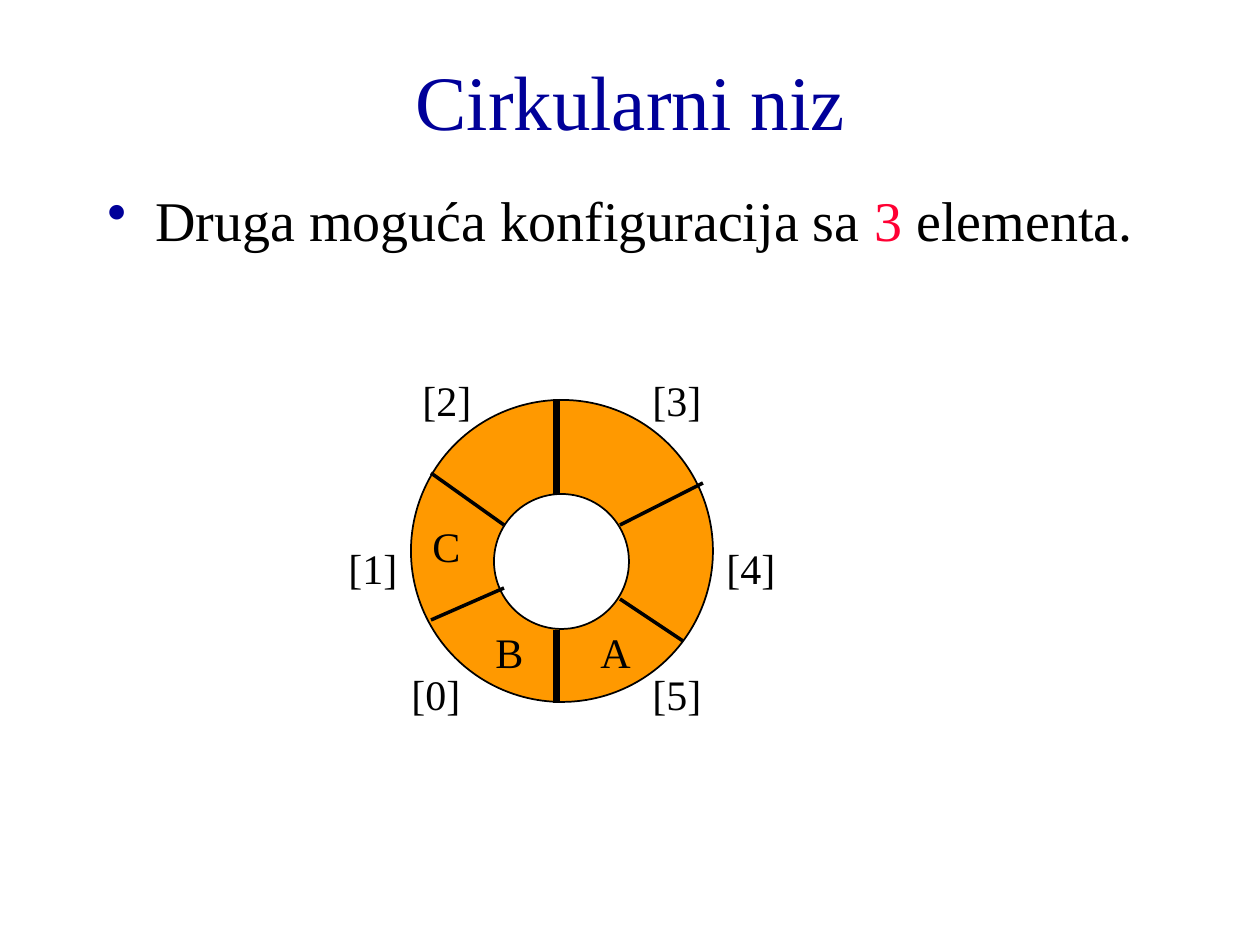
from typing import NamedTuple

from lxml import etree
from pptx import Presentation
from pptx.dml.color import RGBColor
from pptx.enum.shapes import MSO_CONNECTOR, MSO_SHAPE
from pptx.enum.text import MSO_ANCHOR, MSO_AUTO_SIZE, PP_ALIGN
from pptx.oxml.ns import qn
from pptx.util import Emu, Inches, Pt

OVAL = MSO_SHAPE.OVAL
STRAIGHT = MSO_CONNECTOR.STRAIGHT
LEFT, CENTER = PP_ALIGN.LEFT, PP_ALIGN.CENTER
TOP, MIDDLE = MSO_ANCHOR.TOP, MSO_ANCHOR.MIDDLE
FIT = MSO_AUTO_SIZE.SHAPE_TO_FIT_TEXT
NONE = MSO_AUTO_SIZE.NONE

FONT = "Times New Roman"
BLACK = RGBColor(0x00, 0x00, 0x00)
WHITE = RGBColor(0xFF, 0xFF, 0xFF)
NAVY = RGBColor(0x00, 0x00, 0x99)
RED = RGBColor(0xFF, 0x00, 0x33)
ORANGE = RGBColor(0xFF, 0x99, 0x00)

SCALE = 914400 / 126


class Ring(NamedTuple):
    x: int
    y: int
    size: int
    fill: RGBColor


class Spoke(NamedTuple):
    x1: int
    y1: int
    x2: int
    y2: int
    width: int = 2


class Label(NamedTuple):
    text: str
    x: int
    y: int
    w: int = 116


RINGS = [Ring(411, 400, 302, ORANGE), Ring(494, 494, 135, WHITE)]

SPOKES = [
    Spoke(557, 399, 557, 494, 4),
    Spoke(557, 630, 557, 703, 4),
    Spoke(431, 473, 504, 525),
    Spoke(504, 588, 431, 620),
    Spoke(620, 525, 703, 483),
    Spoke(620, 599, 683, 641),
]

SPOTS = [(399, 662), (336, 536), (410, 368), (640, 368), (714, 536), (640, 662)]
LABELS = [Label(f"[{i}]", x, y) for i, (x, y) in enumerate(SPOTS)] + [
    Label("A", 588, 620, 84),
    Label("B", 483, 620, 84),
    Label("C", 420, 514, 84),
]


def px(value: int) -> Emu:
    return Emu(round(value * SCALE))


def place(shape, x: int, y: int, w: int, h: int) -> None:
    shape.left, shape.top, shape.width, shape.height = map(px, (x, y, w, h))


def write(shape, *runs, size=24, color=BLACK, align=LEFT, anchor=TOP,
          before=0, fit=NONE):
    """Fill the shape with runs, each a string or a (string, colour) pair."""
    frame = shape.text_frame
    frame.word_wrap = True
    frame.auto_size = fit
    frame.vertical_anchor = anchor
    para = frame.paragraphs[0]
    para.alignment = align
    para.space_before = Pt(before)
    for item in runs:
        text, tint = (item, color) if isinstance(item, str) else item
        run = para.add_run()
        run.text = text
        run.font.name = FONT
        run.font.size = Pt(size)
        run.font.color.rgb = tint
    return para


def add_bullet(para, color: RGBColor) -> None:
    props = para._p.get_or_add_pPr()
    indent = Inches(0.38)
    props.set("marL", str(indent))
    props.set("indent", str(-indent))
    tint = etree.SubElement(props, qn("a:buClr"))
    etree.SubElement(tint, qn("a:srgbClr")).set("val", str(color))
    etree.SubElement(props, qn("a:buChar")).set("char", "•")


def draw_ring(shapes, ring: Ring) -> None:
    oval = shapes.add_shape(OVAL, *map(px, (ring.x, ring.y, ring.size, ring.size)))
    oval.shadow.inherit = False
    oval.fill.solid()
    oval.fill.fore_color.rgb = ring.fill
    oval.line.color.rgb = BLACK
    oval.line.width = Pt(1)


def draw_spoke(shapes, spoke: Spoke) -> None:
    line = shapes.add_connector(STRAIGHT, *map(px, spoke[:4]))
    line.line.color.rgb = BLACK
    line.line.width = Pt(spoke.width)
    etree.SubElement(line._element.spPr, qn("a:effectLst"))


def draw_label(shapes, label: Label) -> None:
    box = shapes.add_textbox(*map(px, (label.x, label.y, label.w, 63)))
    write(box, label.text, before=15, fit=FIT)


def main() -> None:
    deck = Presentation()
    deck.slide_width, deck.slide_height = Inches(10), Inches(7.5)
    slide = deck.slides.add_slide(deck.slide_layouts[5])

    title = slide.shapes.title
    place(title, 95, 21, 1071, 158)
    write(title, "Cirkularni niz", size=44, color=NAVY, align=CENTER, anchor=MIDDLE)

    body = slide.shapes.add_textbox(*map(px, (95, 179, 1071, 63)))
    para = write(body, "Druga moguća konfiguracija sa ", ("3 ", RED), "elementa.",
                 size=32, before=8)
    add_bullet(para, NAVY)

    queue = slide.shapes.add_group_shape().shapes
    for ring in RINGS:
        draw_ring(queue, ring)
    for spoke in SPOKES:
        draw_spoke(queue, spoke)
    for label in LABELS:
        draw_label(queue, label)

    deck.save("out.pptx")


if __name__ == "__main__":
    main()
